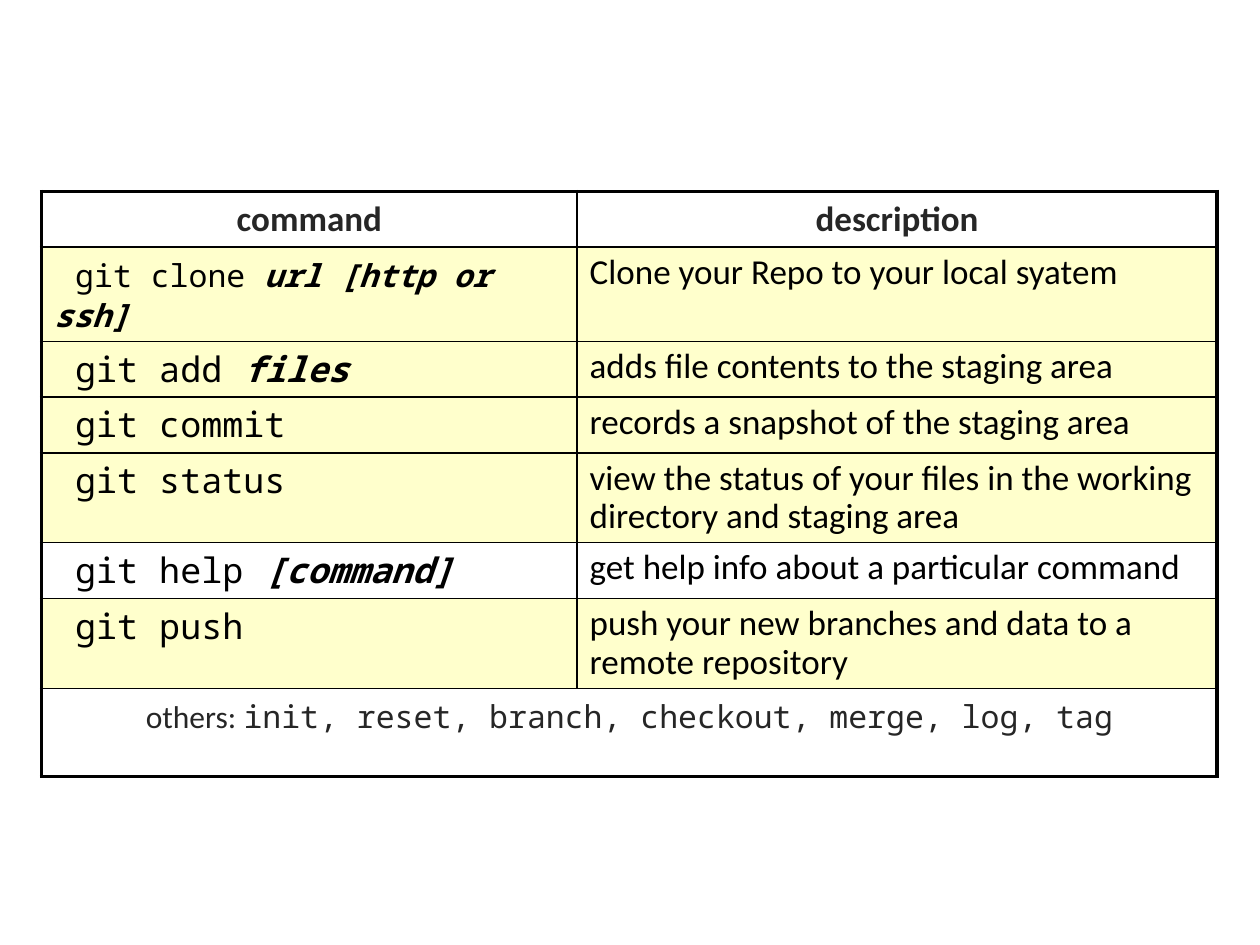
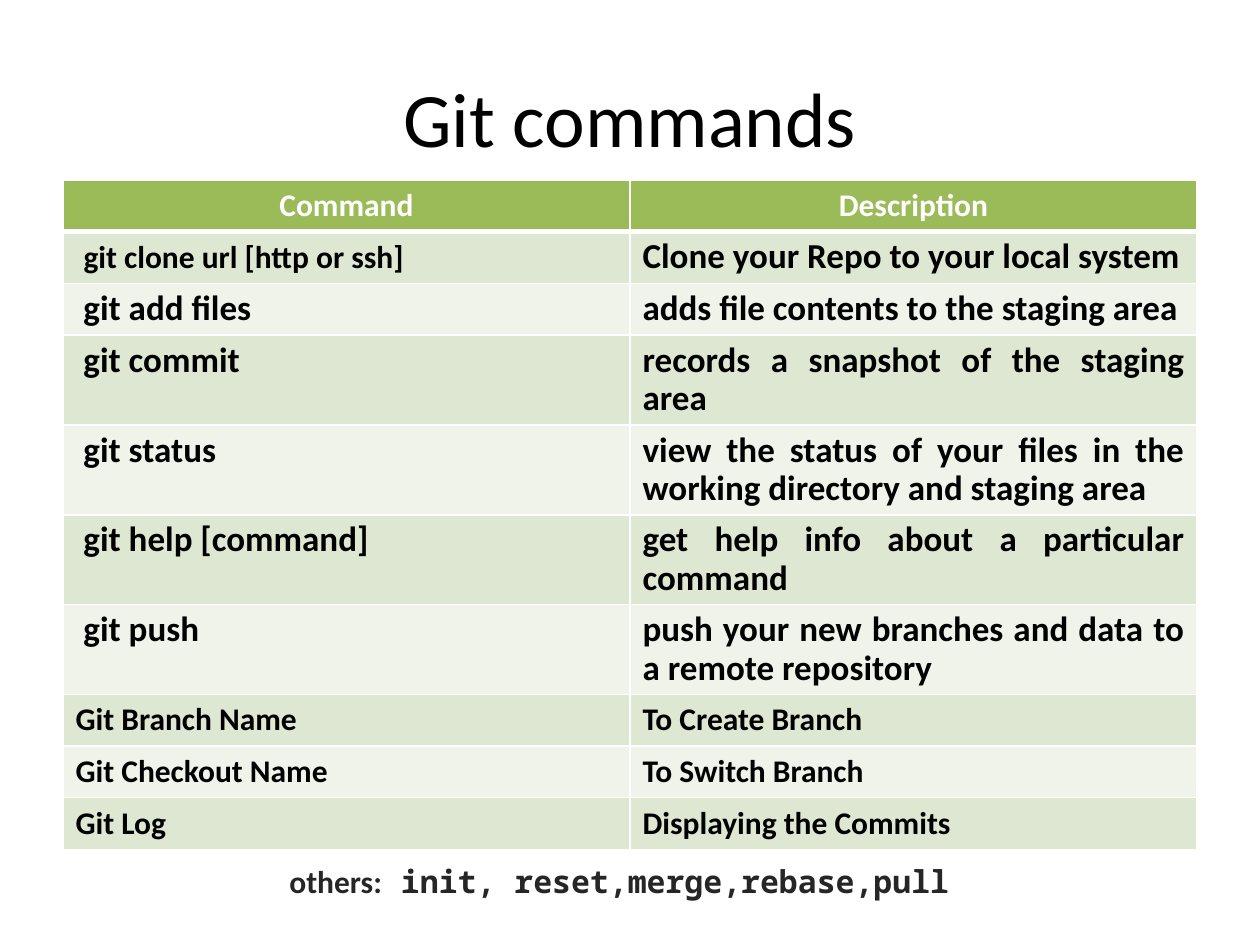
from lxml import etree
from pptx import Presentation
from pptx.dml.color import RGBColor
from pptx.enum.text import MSO_ANCHOR, PP_ALIGN
from pptx.oxml.ns import qn
from pptx.util import Inches, Pt

CENTER, JUSTIFY, LEFT = PP_ALIGN.CENTER, PP_ALIGN.JUSTIFY, PP_ALIGN.LEFT
MIDDLE = MSO_ANCHOR.MIDDLE
TITLE_ONLY, BLANK = 5, 6
BODY_FONT, CODE_FONT = "Calibri", "Noto Sans Mono"
COLORS = {
    "black": "000000", "white": "FFFFFF", "gray": "262626", "yellow": "FFFFCC",
    "green": "9BBB59", "band_dark": "DEE7D1", "band_light": "EFF3EA",
}
THIN, OUTER, HEADER_RULE = 1, 2.25, 3

# Command, its argument, description, whether the row is highlighted, row height
BASIC_COMMANDS = [
    ("git clone ", "url [http or ssh]", "Clone your Repo to your local syatem", True, 0.4),
    ("git add ", "files", "adds file contents to the staging area", True, 0.4),
    ("git commit", "", "records a snapshot of the staging area", True, 0.4),
    ("git status", "",
     "view the status of your files in the working directory and staging area", True, 0.7),
    ("git help ", "[command]", "get help info about a particular command", False, 0.4),
    ("git push", "", "push your new branches and data to a remote repository", True, 0.7),
]
# Everyday commands are justified at 20 pt; branch commands are plain at 18 pt
EVERYDAY_COMMANDS = [
    ("git clone url [http or ssh]", "Clone your Repo to your local system"),
    ("git add files", "adds file contents to the staging area"),
    ("git commit", "records a snapshot of the staging area"),
    ("git status", "view the status of your files in the working directory and staging area"),
    ("git help [command]", "get help info about a particular command"),
    ("git push", "push your new branches and data to a remote repository"),
]
BRANCH_COMMANDS = [
    ("Git Branch Name", "To Create Branch"),
    ("Git Checkout Name", "To Switch Branch"),
    ("Git Log", "Displaying the Commits"),
]


def add_span(para, text, size, color="black", font=BODY_FONT, bold=False, italic=False):
    span = para.add_run()
    span.text = text
    span.font.size = Pt(size)
    span.font.name = font
    span.font.bold = bold
    span.font.italic = italic
    span.font.color.rgb = RGBColor.from_string(COLORS[color])


def start_para(frame, align, spacing=None):
    para = frame.paragraphs[0]
    para.alignment = align
    para.line_spacing = spacing
    return para


def format_cell(cell, fill, line_color, left=THIN, right=THIN, top=THIN, bottom=THIN):
    """Set the fill (None for no fill) and the four border widths in points."""
    properties = cell._tc.get_or_add_tcPr()
    for side, width in zip("LRTB", (left, right, top, bottom)):
        line = etree.SubElement(properties, qn(f"a:ln{side}"), w=str(Pt(width)))
        solid = etree.SubElement(line, qn("a:solidFill"))
        etree.SubElement(solid, qn("a:srgbClr"), val=COLORS[line_color])
    if fill:
        cell.fill.solid()
        cell.fill.fore_color.rgb = RGBColor.from_string(COLORS[fill])
    else:
        cell.fill.background()


def add_plain_table(page, box, column_widths, row_heights):
    frame = page.shapes.add_table(len(row_heights), len(column_widths),
                                  *(Inches(length) for length in box))
    table = frame.table
    table.first_row = table.horz_banding = False
    for column, width in zip(table.columns, column_widths):
        column.width = Inches(width)
    for row, height in zip(table.rows, row_heights):
        row.height = Inches(height)
    return table


def add_header(table, labels, size, color):
    for cell, label in zip(table.rows[0].cells, labels):
        add_span(start_para(cell.text_frame, CENTER), label, size, color, bold=True)


def add_basic_table(page, box):
    heights = [0.43] + [command[-1] for command in BASIC_COMMANDS] + [0.7]
    table = add_plain_table(page, box, [4.25, box[2] - 4.25], heights)
    last = len(heights) - 1
    add_header(table, ("command", "description"), 20, "gray")

    for row, (command, argument, description, _, _) in enumerate(BASIC_COMMANDS, 1):
        size = 18 if row == 1 else 20
        para = start_para(table.cell(row, 0).text_frame, LEFT, 0.9)
        add_span(para, " ", 20, font=CODE_FONT)
        add_span(para, command, size, font=CODE_FONT)
        if argument:
            add_span(para, argument, size, font=CODE_FONT, bold=True, italic=True)
        para = start_para(table.cell(row, 1).text_frame, LEFT, 0.9)
        add_span(para, description, 20)

    table.cell(last, 0).merge(table.cell(last, 1))
    para = start_para(table.cell(last, 0).text_frame, CENTER)
    add_span(para, "others: ", 18, "gray")
    add_span(para, "init, reset, branch, checkout, merge, log, tag", 18, "gray", CODE_FONT)

    for row in range(last + 1):
        highlighted = 0 < row < last and BASIC_COMMANDS[row - 1][3]
        for column in range(2):
            format_cell(
                table.cell(row, column), "yellow" if highlighted else None, "black",
                left=OUTER if column == 0 else THIN,
                right=OUTER if column == 1 or row == last else THIN,
                top=OUTER if row == 0 else THIN,
                bottom=OUTER if row == last else THIN)


def add_banded_table(page, box):
    commands = EVERYDAY_COMMANDS + BRANCH_COMMANDS
    table = add_plain_table(page, box, [box[2] / 2] * 2, [0.41] * (len(commands) + 1))
    add_header(table, ("Command", "Description"), 18, "white")
    for cell in table.rows[0].cells:
        format_cell(cell, "green", "white", bottom=HEADER_RULE)

    for row, texts in enumerate(commands, 1):
        everyday = row <= len(EVERYDAY_COMMANDS)
        for column, text in enumerate(texts):
            cell = table.cell(row, column)
            para = start_para(cell.text_frame, JUSTIFY if everyday else LEFT,
                              0.9 if everyday else None)
            if everyday and column == 0:
                add_span(para, " ", 20, bold=True)
            small = not everyday or (row == 1 and column == 0)
            add_span(para, text, 18 if small else 20, bold=True)
            format_cell(cell, "band_dark" if row % 2 else "band_light", "white",
                        top=HEADER_RULE if row == 1 else THIN)


def set_title(page, box, text):
    title = page.shapes.title
    title.left, title.top, title.width, title.height = (Inches(length) for length in box)
    title.text_frame.vertical_anchor = MIDDLE
    add_span(start_para(title.text_frame, CENTER), text, 44)


def add_other_commands(page, box):
    note = page.shapes.add_textbox(*(Inches(length) for length in box))
    note.text_frame.word_wrap = True
    para = start_para(note.text_frame, CENTER)
    add_span(para, "others:", 18, "gray", bold=True)
    add_span(para, " init, reset,merge,rebase,pull", 18, "gray", CODE_FONT, bold=True)


def main():
    deck = Presentation()
    deck.slide_width, deck.slide_height = Inches(10), Inches(7.5)

    page = deck.slides.add_slide(deck.slide_layouts[BLANK])
    add_basic_table(page, (0.33, 1.52, 9.33, 4.13))

    page = deck.slides.add_slide(deck.slide_layouts[TITLE_ONLY])
    set_title(page, (0.5, 0.3, 9, 1.25), "Git commands")
    add_banded_table(page, (0.5, 1.43, 9, 4.1))
    add_other_commands(page, (0.58, 6.79, 8.67, 0.4))

    deck.save("out.pptx")


if __name__ == "__main__":
    main()
